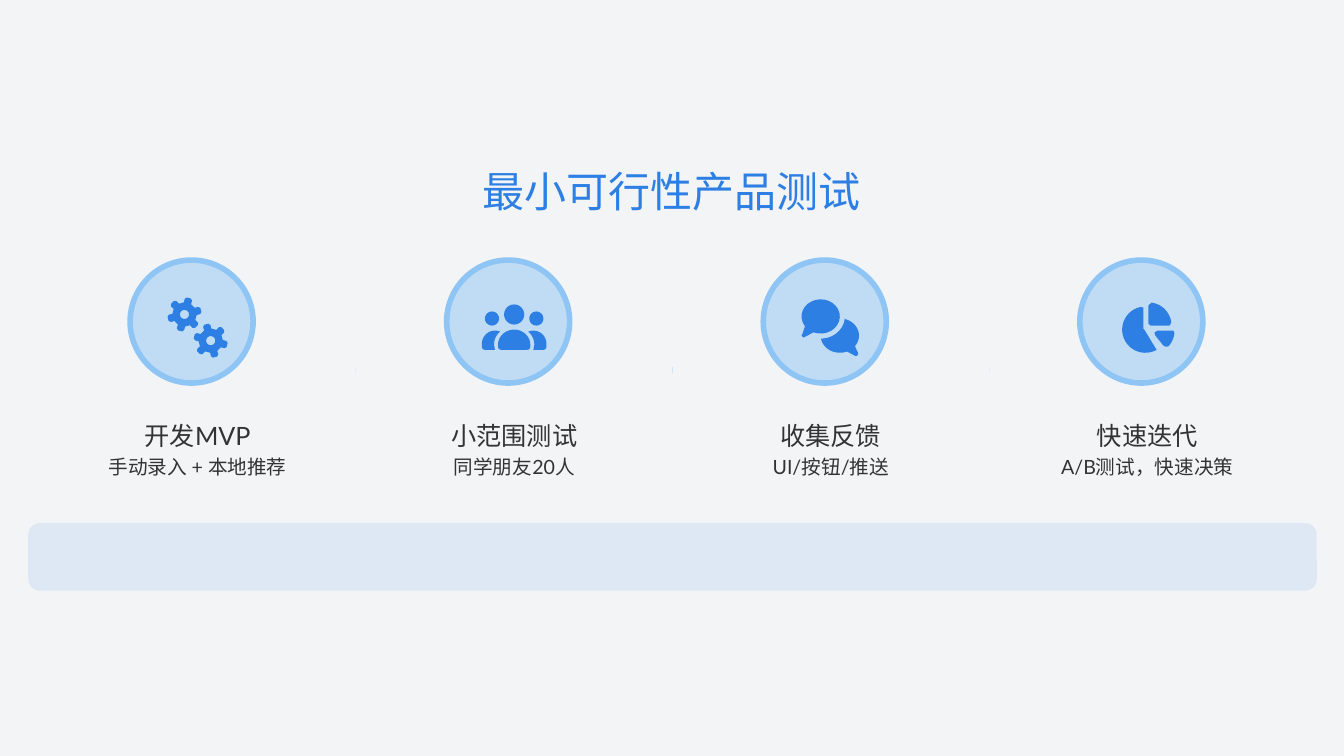
from math import cos, radians, sin

from lxml.etree import SubElement
from pptx import Presentation
from pptx.dml.color import RGBColor
from pptx.enum.shapes import MSO_SHAPE
from pptx.enum.text import MSO_ANCHOR, PP_ALIGN
from pptx.oxml.ns import qn
from pptx.util import Inches, Pt

COLORS = {"background": "F3F4F6", "accent": "2D7FE4", "ring": "8EC5F5", "text": "333333"}
CJK_FONT = "Noto Sans CJK SC"
FIRST_CENTER, STEP_GAP, ICON_Y = 1.96, 3.14, 3.25


def color(name):
    """Return the named colour."""
    return RGBColor.from_string(COLORS[name])


def arc(cx, cy, rx, ry, start, end, count=24):
    """Sample points along an elliptical arc, angles in degrees."""
    angles = [radians(start + (end - start) * i / count) for i in range(count + 1)]
    return [(cx + rx * cos(a), cy + ry * sin(a)) for a in angles]


def disc(cx, cy, r):
    """Return the outline of a full circle."""
    return arc(cx, cy, r, r, 0, 360)


def mirror(outline):
    """Flip an outline left to right."""
    return [(-x, y) for x, y in outline]


def gear(cx, cy, turn):
    """Return the outlines of a six-toothed wheel and its hole."""
    tooth = [(-18, 0.12), (-14, 0.155), (-7, 0.17), (7, 0.17), (14, 0.155), (18, 0.12)]
    rim = [
        (cx + r * cos(radians(turn + 60 * k + a)), cy + r * sin(radians(turn + 60 * k + a)))
        for k in range(6) for a, r in tooth
    ]
    return [rim, disc(cx, cy, 0.045)[::-1]]


def gears_icon():
    """Return the outlines of two wheels."""
    return gear(-0.13, -0.13, -15) + gear(0.13, 0.13, 15)


def people_icon():
    """Return the outlines of three people."""
    body = (arc(0, 0.17, 0.16, 0.15, 180, 360) + arc(0.13, 0.19, 0.03, 0.03, 0, 90)
            + arc(-0.13, 0.19, 0.03, 0.03, 90, 180))
    shoulder = (arc(-0.19, 0.16, 0.13, 0.13, 180, 287) + arc(-0.03, 0.17, 0.17, 0.17, 230, 180)
                + [(-0.19, 0.22)] + arc(-0.29, 0.19, 0.03, 0.03, 90, 180))
    side_head = disc(-0.22, -0.09, 0.07)
    return [disc(0, -0.13, 0.1), body, side_head, mirror(side_head), shoulder, mirror(shoulder)]


def chat_icon():
    """Return the outlines of two speech bubbles."""
    front = arc(-0.1, -0.11, 0.19, 0.17, 145, 472) + [
        (-0.25, 0.09), (-0.27, 0.1), (-0.29, 0.08), (-0.28, 0.06)]
    back = (arc(0.09, 0.08, 0.19, 0.17, 68, 170) + arc(-0.1, -0.11, 0.24, 0.22, 87, 5)
            + arc(0.09, 0.08, 0.19, 0.17, -75, 38)
            + [(0.27, 0.25), (0.27, 0.27), (0.26, 0.28), (0.24, 0.28)])
    return [front, back]


def pie_icon():
    """Return the outlines of three separated pie slices."""
    large = arc(-0.02, 0.02, 0.23, 0.23, 61, 257) + [(-0.04, -0.2), (-0.04, 0.01), (-0.03, 0.02)]
    quarter = arc(0.01, -0.02, 0.23, 0.23, 278, 352) + [
        (0.22, -0.02), (0.03, -0.02), (0.01, -0.04), (0.01, -0.22)]
    small = arc(0.04, 0.03, 0.23, 0.23, 7, 43) + [
        (0.18, 0.19), (0.16, 0.18), (0.08, 0.08), (0.07, 0.05), (0.1, 0.03), (0.26, 0.03)]
    return [large, quarter, small]


def paint(shape, name, opacity=100, outline=0):
    """Give a shape a fill and an optional outline."""
    shape.shadow.inherit = False
    shape.fill.solid()
    shape.fill.fore_color.rgb = color(name)
    if opacity < 100:
        tone = shape.fill._xPr.find(qn("a:solidFill"))[0]
        SubElement(tone, qn("a:alpha"), val=str(opacity * 1000))
    if outline:
        shape.line.color.rgb = color(name)
        shape.line.width = Pt(outline)
    else:
        shape.line.fill.background()


def add_preset(slide, kind, left, top, width, height):
    """Place a preset shape, sizes in inches."""
    return slide.shapes.add_shape(kind, Inches(left), Inches(top), Inches(width), Inches(height))


def add_icon(slide, center, outlines):
    """Draw an icon from outlines around a column centre."""
    contours = [[(Inches(center + x), Inches(ICON_Y + y)) for x, y in outline]
                for outline in outlines]
    builder = slide.shapes.build_freeform(*contours[0][0], scale=1.0)
    builder.add_line_segments(contours[0][1:], close=True)
    for contour in contours[1:]:
        builder.move_to(*contour[0])
        builder.add_line_segments(contour[1:], close=True)
    paint(builder.convert_to_shape(), "accent")


def add_label(slide, center, top, width, height, words, size, tone="text", font="Lato", spacing=1.0):
    """Add a centred line of text."""
    label = slide.shapes.add_textbox(
        Inches(center - width / 2), Inches(top), Inches(width), Inches(height))
    frame = label.text_frame
    frame.word_wrap = True
    frame.vertical_anchor = MSO_ANCHOR.MIDDLE
    frame.margin_left = frame.margin_right = frame.margin_top = frame.margin_bottom = 0
    frame.text = words
    paragraph = frame.paragraphs[0]
    paragraph.alignment = PP_ALIGN.CENTER
    paragraph.line_spacing = spacing
    run = paragraph.runs[0]
    run.font.size = Pt(size)
    run.font.name = font
    run.font.color.rgb = color(tone)
    SubElement(run.font._element, qn("a:ea"), typeface=CJK_FONT)


def add_step(slide, center, icon, name, name_width, detail, detail_width):
    """Add one step: ringed icon, name and detail."""
    ring = add_preset(slide, MSO_SHAPE.OVAL, center - 0.67, 2.58, 1.22, 1.22)
    paint(ring, "ring", opacity=50, outline=4)
    add_icon(slide, center, icon)
    add_label(slide, center, 4.08, name_width, 0.39, name, 18, spacing=1.3)
    add_label(slide, center, 4.47, detail_width, 0.28, detail, 14, spacing=1.2)


def main():
    """Build the slide and save it."""
    presentation = Presentation()
    presentation.slide_width = Inches(13.33)
    presentation.slide_height = Inches(7.5)
    slide = presentation.slides.add_slide(presentation.slide_layouts[6])
    slide.background.fill.solid()
    slide.background.fill.fore_color.rgb = color("background")

    add_label(slide, 13.33 / 2, 1.64, 13.33, 0.5, "最小可行性产品测试", 30, "accent", CJK_FONT)
    steps = [
        (gears_icon(), "开发MVP", 1.65, "手动录入 + 本地推荐", 2.38),
        (people_icon(), "小范围测试", 1.81, "同学朋友20人", 1.75),
        (chat_icon(), "收集反馈", 1.56, "UI/按钮/推送", 1.71),
        (pie_icon(), "快速迭代", 1.56, "A/B测试，快速决策", 2.26),
    ]
    for index, step in enumerate(steps):
        center = FIRST_CENTER + index * STEP_GAP
        add_step(slide, center, *step)
        if index < len(steps) - 1:
            divider = add_preset(slide, MSO_SHAPE.RECTANGLE, center + STEP_GAP / 2, 3.64, 0, 0.06)
            divider.width = Pt(0.1)
            paint(divider, "ring")

    banner = add_preset(slide, MSO_SHAPE.ROUNDED_RECTANGLE, 0.28, 5.19, 12.78, 0.67)
    banner.adjustments[0] = 0.17
    paint(banner, "accent", opacity=10)
    presentation.save("out.pptx")


if __name__ == "__main__":
    main()
